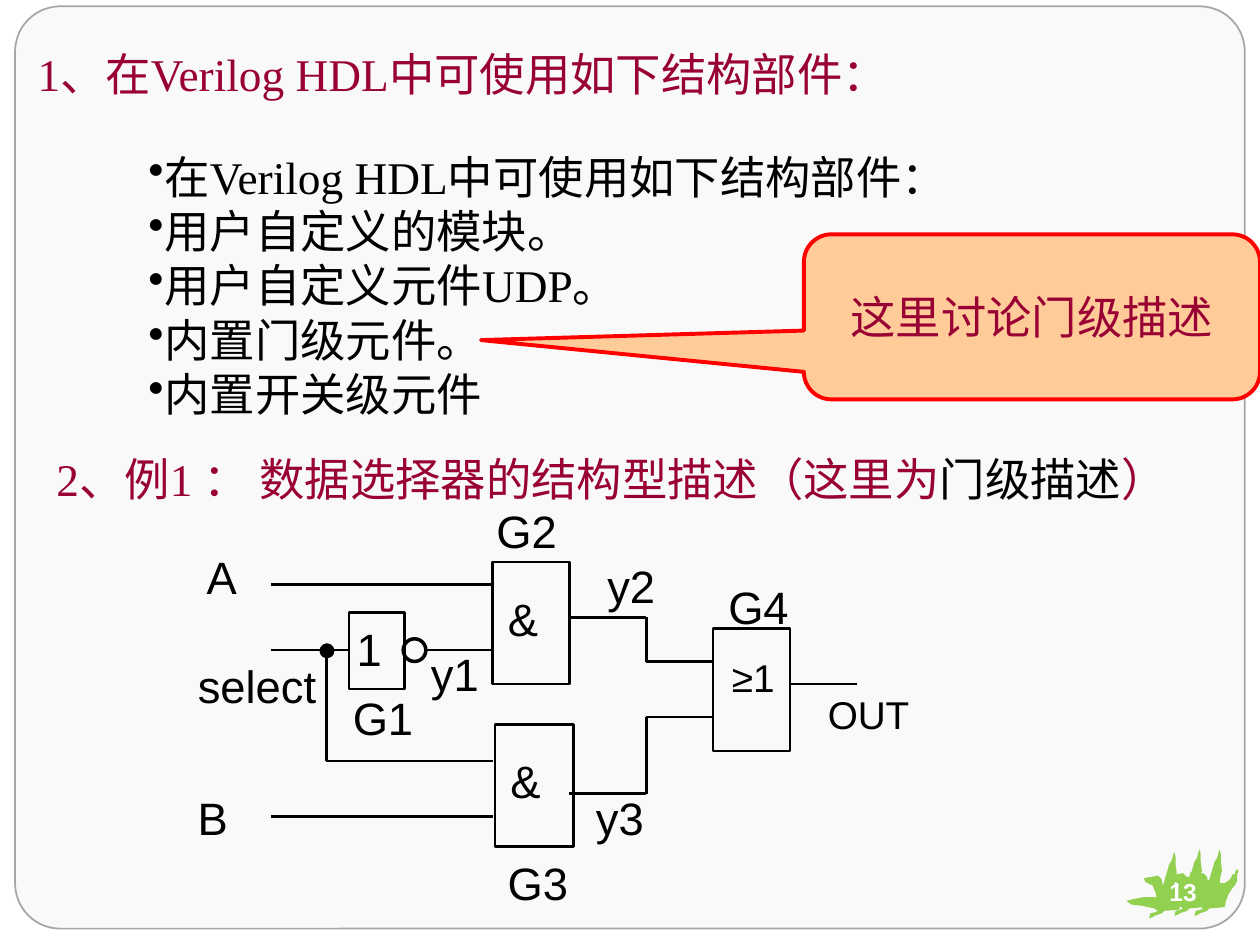
import pptx
import pptx.util
import pptx.dml.color
import pptx.enum.shapes
import pptx.enum.text
import pptx.oxml.ns
import lxml.etree

Inches, Pt = pptx.util.Inches, pptx.util.Pt
SHAPES = pptx.enum.shapes.MSO_SHAPE
ALIGN = pptx.enum.text.PP_ALIGN
ANCHOR = pptx.enum.text.MSO_ANCHOR
COLORS = {
    "panel": "F9F9F9", "panel_line": "A6A6A6", "leaf": "92D050",
    "heading": "990033", "ink": "000000", "white": "FFFFFF",
    "callout": "FFCC99", "callout_line": "FF0000",
}
SERIF, SANS = "Times New Roman", "Arial"
BODY_SIZE, SMALL_SIZE = 25.9, 22.1
LABEL_INSETS = (0.06, 0.03)

# Leaf outline in hundredths of an inch, and the place of each leaf in inches
LEAF = [
    (18, 53), (21, 52), (22, 51), (28, 49), (30, 47), (42, 46), (43, 41),
    (45, 36), (48, 31), (50, 29), (52, 25), (52, 20), (53, 17), (51, 16),
    (50, 20), (48, 20), (47, 23), (45, 25), (42, 27), (38, 27), (39, 20),
    (40, 17), (39, 10), (39, 4), (38, 0), (37, 3), (36, 7), (34, 10),
    (32, 17), (31, 20), (30, 24), (29, 27), (28, 22), (25, 19), (20, 20),
    (14, 21), (15, 24), (19, 26), (21, 27), (22, 30), (23, 32), (24, 36),
    (14, 36), (4, 38), (0, 39), (4, 42), (13, 43), (17, 44), (22, 45),
    (25, 47), (23, 48), (19, 49),
]
LEAF_PLACES = [(9.3, 6.74), (9.14, 6.74), (8.94, 6.76)]

GATES = [(3.91, 4.46, 0.61, 0.97), (5.66, 4.99, 0.61, 0.97),
         (3.93, 5.75, 0.62, 0.97), (2.77, 4.86, 0.44, 0.61)]

# Each wire is a chain of corner points
WIRES = [
    [(2.15, 4.64), (3.91, 4.64)],
    [(2.15, 5.16), (2.77, 5.16)],
    [(3.38, 5.16), (3.91, 5.16)],
    [(2.59, 5.16), (2.59, 6.04), (3.91, 6.04)],
    [(2.15, 6.48), (3.91, 6.48)],
    [(4.52, 4.9), (5.13, 4.9), (5.13, 5.25), (5.66, 5.25)],
    [(4.52, 6.3), (5.13, 6.3), (5.13, 5.69), (5.66, 5.69)],
    [(6.27, 5.43), (6.8, 5.43)],
]

# Text, left, top, width, size
LABELS = [
    ("&", 3.97, 4.66, 0.41, BODY_SIZE), ("≥1", 5.75, 5.16, 0.6, SMALL_SIZE),
    ("&", 3.99, 5.95, 0.41, BODY_SIZE), ("1", 2.77, 4.9, 0.38, BODY_SIZE),
    ("select", 1.51, 5.19, 1.11, BODY_SIZE), ("A", 1.58, 4.33, 0.43, BODY_SIZE),
    ("B", 1.51, 6.24, 0.43, BODY_SIZE), ("OUT", 6.51, 5.45, 0.81, SMALL_SIZE),
    ("y1", 3.36, 5.1, 0.55, BODY_SIZE), ("y2", 4.76, 4.4, 0.55, BODY_SIZE),
    ("y3", 4.67, 6.24, 0.55, BODY_SIZE), ("G1", 2.74, 5.45, 0.6, BODY_SIZE),
    ("G2", 3.88, 3.96, 0.6, BODY_SIZE), ("G3", 3.97, 6.76, 0.6, BODY_SIZE),
    ("G4", 5.72, 4.57, 0.88, BODY_SIZE),
]

PARTS = [
    "在Verilog HDL中可使用如下结构部件：", "用户自定义的模块。",
    "用户自定义元件UDP。", "内置门级元件。", "内置开关级元件",
]


def rgb(name):
    return pptx.dml.color.RGBColor.from_string(COLORS[name])


def paint(shape, fill=None, line=None, width=1.5):
    shape.shadow.inherit = False
    if fill:
        shape.fill.solid()
        shape.fill.fore_color.rgb = rgb(fill)
    else:
        shape.fill.background()
    if line:
        shape.line.color.rgb = rgb(line)
        shape.line.width = Pt(width)
    else:
        shape.line.fill.background()


def add_box(slide, kind, place, fill=None, line=None, width=1.5):
    shape = slide.shapes.add_shape(kind, *map(Inches, place))
    paint(shape, fill, line, width)
    return shape


def write(shape, paragraphs, font=SERIF, size=BODY_SIZE, align=ALIGN.LEFT,
          anchor=ANCHOR.TOP, insets=(0.1, 0.05), wrap=True, bold=False, bullet=None):
    """Fill a shape with paragraphs, each a list of (text, color) runs."""
    frame = shape.text_frame
    frame.word_wrap = wrap
    frame.vertical_anchor = anchor
    frame.margin_left = frame.margin_right = Inches(insets[0])
    frame.margin_top = frame.margin_bottom = Inches(insets[1])
    if not wrap:
        frame.auto_size = pptx.enum.text.MSO_AUTO_SIZE.SHAPE_TO_FIT_TEXT
    for index, runs in enumerate(paragraphs):
        paragraph = frame.add_paragraph() if index else frame.paragraphs[0]
        paragraph.alignment = align
        if bullet:
            properties = paragraph._p.get_or_add_pPr()
            mark = lxml.etree.SubElement(properties, pptx.oxml.ns.qn("a:buChar"))
            mark.set("char", bullet)
        for text, color in runs:
            run = paragraph.add_run()
            run.text = text
            run.font.name = font
            run.font.size = Pt(size)
            run.font.bold = bold
            run.font.color.rgb = rgb(color)


def add_text(slide, place, paragraphs, **style):
    write(slide.shapes.add_textbox(*map(Inches, place)), paragraphs, **style)


def add_wire(slide, points):
    for start, end in zip(points, points[1:]):
        wire = slide.shapes.add_connector(
            pptx.enum.shapes.MSO_CONNECTOR.STRAIGHT, *map(Inches, start + end))
        wire.line.color.rgb = rgb("ink")
        wire.line.width = Pt(1.5)
        lxml.etree.SubElement(wire._element.spPr, pptx.oxml.ns.qn("a:effectLst"))


def add_leaf(slide, left, top):
    builder = slide.shapes.build_freeform(*LEAF[0], scale=Inches(0.01))
    builder.add_line_segments(LEAF[1:], close=True)
    paint(builder.convert_to_shape(Inches(left), Inches(top)), "leaf")


def add_circuit(slide):
    for place in GATES:
        add_box(slide, SHAPES.RECTANGLE, place, line="ink")
    for points in WIRES:
        add_wire(slide, points)
    # Inverter bubble and junction dot
    add_box(slide, SHAPES.OVAL, (3.2, 5.07, 0.18, 0.18), line="ink", width=2)
    add_box(slide, SHAPES.OVAL, (2.55, 5.12, 0.09, 0.09), "ink", "ink", 2)
    for text, left, top, width, size in LABELS:
        add_text(slide, (left, top, width, 0.45), [[(text, "ink")]],
                 font=SANS, size=size, insets=LABEL_INSETS)


def main():
    presentation = pptx.Presentation()
    presentation.slide_width, presentation.slide_height = Inches(10), Inches(7.5)
    slide = presentation.slides.add_slide(presentation.slide_layouts[6])

    # Panel and leaves
    panel = add_box(slide, SHAPES.ROUNDED_RECTANGLE, (0.12, 0.05, 9.76, 7.32),
                    "panel", "panel_line", 1)
    panel.adjustments[0] = 0.049
    for left, top in LEAF_PLACES:
        add_leaf(slide, left, top)

    # Headings and list
    add_text(slide, (1.08, 1.12, 6.58, 2.28), [[(part, "ink")] for part in PARTS],
             anchor=ANCHOR.MIDDLE, wrap=False, bullet="•")
    add_text(slide, (0.2, 0.32, 7, 0.54),
             [[("1、在Verilog HDL中可使用如下结构部件：", "heading")]], wrap=False)
    add_text(slide, (0.35, 3.32, 9.1, 0.96),
             [[("2、例1 ： 数据选择器的结构型描述（这里为", "heading"),
               ("门级描述", "ink"), ("）", "heading")]], anchor=ANCHOR.MIDDLE)

    add_circuit(slide)

    # Callout
    callout = add_box(slide, SHAPES.ROUNDED_RECTANGULAR_CALLOUT,
                      (6.38, 1.86, 3.62, 1.31), "callout", "callout_line", 2.25)
    for index, value in enumerate((-1.208, 0.141, 0.167)):
        callout.adjustments[index] = value
    write(callout, [[("这里讨论门级描述", "heading")]],
          align=ALIGN.CENTER, anchor=ANCHOR.MIDDLE)

    # Page number
    number = add_box(slide, SHAPES.OVAL, (9.14, 6.9, 0.5, 0.36))
    write(number, [[("13", "white")]], font=SANS, size=14, align=ALIGN.CENTER,
          anchor=ANCHOR.MIDDLE, insets=(0, 0), bold=True)

    presentation.save("out.pptx")


if __name__ == "__main__":
    main()
